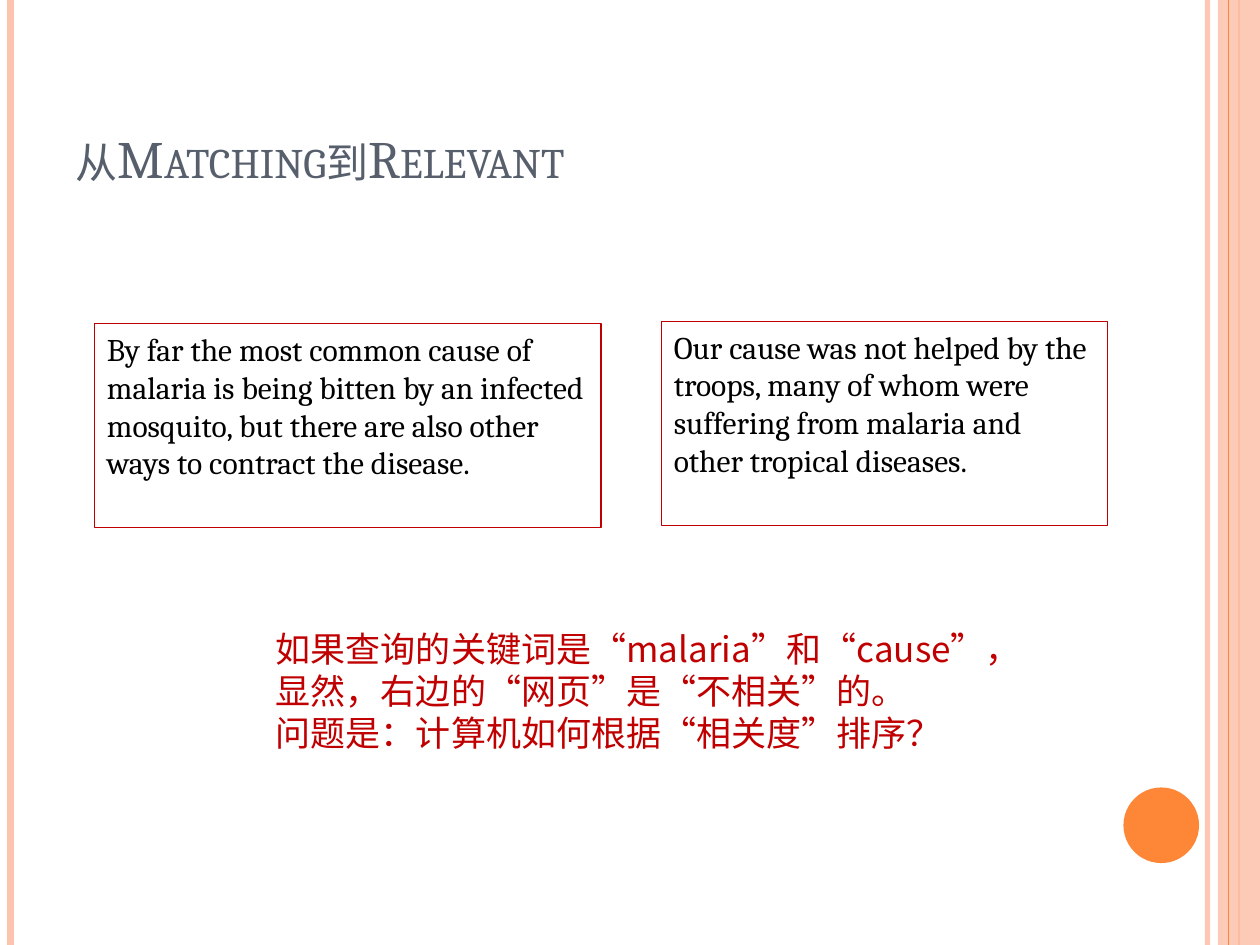
from lxml.etree import SubElement
from pptx import Presentation
from pptx.dml.color import RGBColor
from pptx.enum.shapes import MSO_CONNECTOR, MSO_SHAPE
from pptx.enum.text import MSO_ANCHOR, MSO_AUTO_SIZE, PP_ALIGN
from pptx.oxml.ns import qn
from pptx.util import Pt

WIDTH, HEIGHT = 720, 540
PEACH = RGBColor(0xFE, 0xC3, 0xAE)
ORANGE = RGBColor(0xFE, 0x86, 0x37)
SLATE = RGBColor(0x57, 0x5F, 0x6D)
RED = RGBColor(0xC0, 0x00, 0x00)
BLACK = RGBColor(0x00, 0x00, 0x00)
SERIF, SANS = "Cambria", "Noto Sans CJK JP"


def set_opacity(element, percent):
    color = element.find(".//" + qn("a:srgbClr"))
    SubElement(color, qn("a:alpha"), val=str(percent * 1000))


def add_run(paragraph, text, size, font, color):
    run = paragraph.add_run()
    run.text = text
    run.font.size = Pt(size)
    run.font.name = font
    run.font.color.rgb = color
    properties = run.font._element
    SubElement(properties, qn("a:ea"), typeface=SANS)
    return run


def add_stripe(slide, x, color, weight, opacity=100):
    """Vertical line over the full slide height."""
    stripe = slide.shapes.add_connector(
        MSO_CONNECTOR.STRAIGHT, Pt(x), Pt(0), Pt(x), Pt(HEIGHT))
    stripe.line.color.rgb = color
    stripe.line.width = Pt(weight)
    properties = stripe._element.spPr
    if opacity < 100:
        set_opacity(properties, opacity)
    SubElement(properties, qn("a:effectLst"))


def add_solid(slide, kind, box, color):
    shape = slide.shapes.add_shape(kind, *map(Pt, box))
    shape.shadow.inherit = False
    shape.fill.solid()
    shape.fill.fore_color.rgb = color
    shape.line.fill.background()
    return shape


def add_decoration(slide):
    add_stripe(slide, 690, PEACH, 3, opacity=93)
    add_stripe(slide, 6, PEACH, 4.5)
    add_stripe(slide, 708, ORANGE, 1.5)
    # The translucent band softens the stripe behind it
    band = add_solid(slide, MSO_SHAPE.RECTANGLE, (696, 0, WIDTH - 696, HEIGHT), PEACH)
    set_opacity(band._element.spPr, 87)
    add_stripe(slide, 702, ORANGE, 0.75)
    add_solid(slide, MSO_SHAPE.OVAL, (642, 450, 43.2, 43.2), ORANGE)


def place(shape, box):
    shape.left, shape.top, shape.width, shape.height = map(Pt, box)


def fill_title(slide, box, text):
    title = slide.shapes.title
    place(title, box)
    frame = title.text_frame
    frame.word_wrap = True
    frame.auto_size = MSO_AUTO_SIZE.NONE
    frame.vertical_anchor = MSO_ANCHOR.BOTTOM
    paragraph = frame.paragraphs[0]
    paragraph.alignment = PP_ALIGN.LEFT
    run = add_run(paragraph, text, 30, SERIF, SLATE)
    run.font._element.set("cap", "small")


def add_page_box(slide, box, text):
    """Outlined sample of a web page's text."""
    shape = slide.shapes.add_shape(MSO_SHAPE.RECTANGLE, *map(Pt, box))
    shape.shadow.inherit = False
    shape.fill.background()
    shape.line.color.rgb = RED
    shape.line.width = Pt(0.75)
    frame = shape.text_frame
    frame.word_wrap = True
    frame.vertical_anchor = MSO_ANCHOR.TOP
    paragraph = frame.paragraphs[0]
    paragraph.alignment = PP_ALIGN.LEFT
    add_run(paragraph, text, 18, SERIF, BLACK)


def add_question(slide, box, lines):
    frame = slide.shapes.add_textbox(*map(Pt, box)).text_frame
    frame.word_wrap = True
    for index, line in enumerate(lines):
        paragraph = frame.add_paragraph() if index else frame.paragraphs[0]
        paragraph.line_spacing = Pt(24)
        add_run(paragraph, line, 20, SANS, RED)


def main():
    presentation = Presentation()
    presentation.slide_width, presentation.slide_height = Pt(WIDTH), Pt(HEIGHT)
    slide = presentation.slides.add_slide(presentation.slide_layouts[5])

    add_decoration(slide)
    fill_title(slide, (36, 21.6, 588, 90), "从Matching到Relevant")
    add_page_box(
        slide, (54, 185, 289.4, 116.6),
        "By far the most common cause of malaria is being bitten by an infected "
        "mosquito, but there are also other ways to contract the disease.")
    add_page_box(
        slide, (378, 183.6, 255, 116.6),
        "Our cause was not helped by the troops, many of whom were suffering "
        "from malaria and other tropical diseases.")
    add_question(slide, (150.5, 355, 425.5, 80), (
        "如果查询的关键词是“malaria”和“cause”，显然，右边的“网页”是“不相关”的。",
        "问题是：计算机如何根据“相关度”排序？"))

    presentation.save("out.pptx")


if __name__ == "__main__":
    main()
